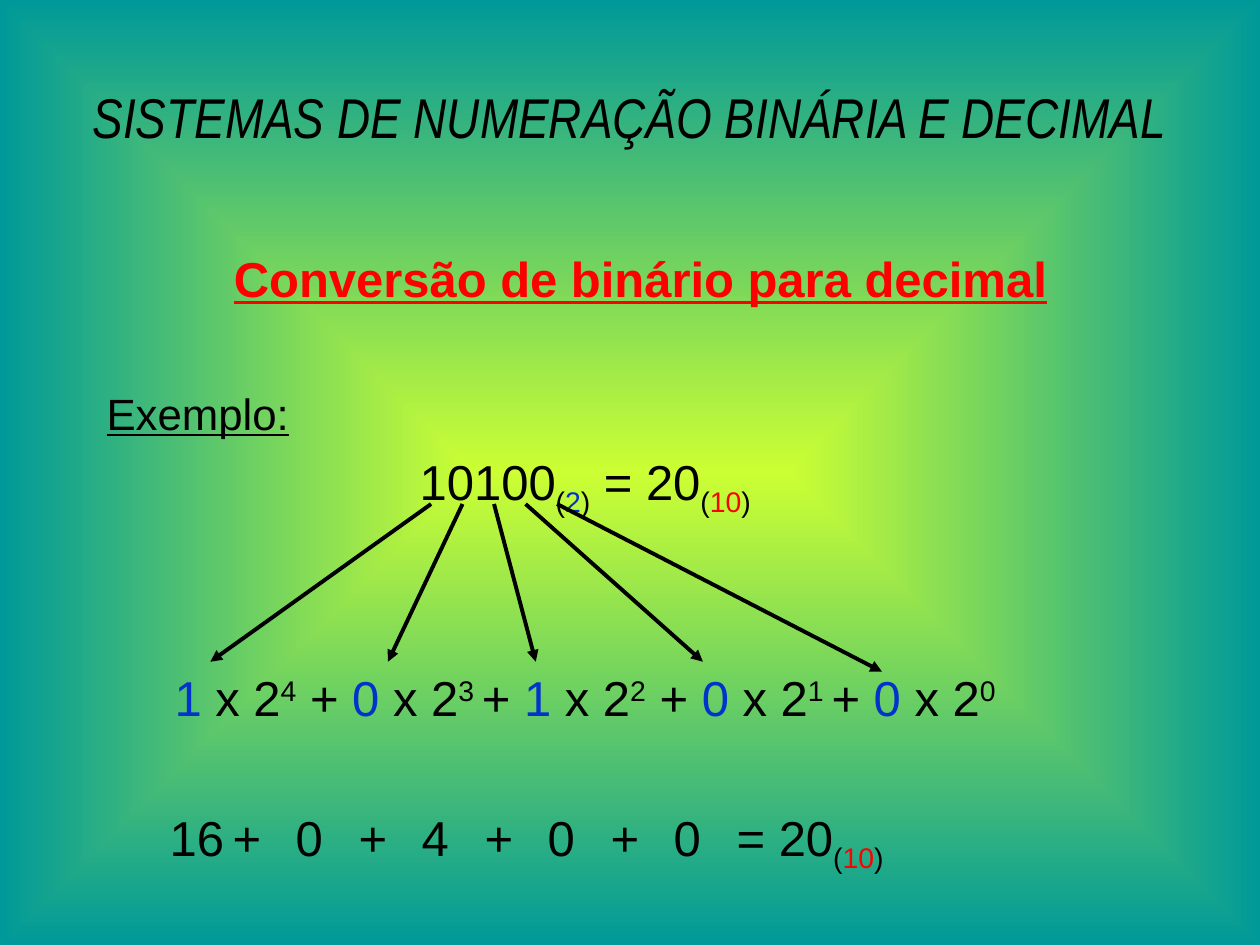
from pptx import Presentation
from pptx.dml.color import RGBColor
from pptx.enum.shapes import MSO_CONNECTOR
from pptx.enum.text import MSO_ANCHOR, MSO_AUTO_SIZE, PP_ALIGN
from pptx.oxml import parse_xml
from pptx.oxml.ns import nsdecls
from pptx.util import Cm, Pt

BLACK, RED, BLUE = "000000", "FF0000", "0033CC"
LIME, TEAL = "CCFF33", "009999"
SUBSCRIPT, SUPERSCRIPT = -25000, 30000
BINARY = "10100"
SUM_TABS = [1.92, 4.39, 6.07, 7.99, 9.67, 11.32, 13.27, 15.19, 16.86, 18.24]


def colour(value):
    return RGBColor.from_string(value)


class LessonSlide:
    """Holds the text style and the slide being built."""

    font_name = "Arial"
    size = 28

    def __init__(self, presentation):
        self.slide = presentation.slides.add_slide(presentation.slide_layouts[5])

    def background(self, centre, edge):
        """Fill the background with a gradient running from the centre to the edges."""
        fill = self.slide.background.fill
        fill.gradient()
        for stop, value in zip(fill.gradient_stops, (centre, edge)):
            stop.color.rgb = colour(value)
        gradient = self.slide.element.xpath(".//p:bgPr/a:gradFill")[0]
        for direction in gradient.xpath("a:lin"):
            gradient.remove(direction)
        gradient.append(parse_xml(
            f'<a:path {nsdecls("a")} path="rect"><a:fillToRect l="50000" t="50000" '
            'r="50000" b="50000"/></a:path>'))

    def title(self, text, left, top, width, height):
        shape = self.slide.shapes.title
        shape.left, shape.top, shape.width, shape.height = map(Cm, (left, top, width, height))
        frame = shape.text_frame
        frame.text = text
        frame.auto_size = MSO_AUTO_SIZE.NONE
        frame.vertical_anchor = MSO_ANCHOR.MIDDLE
        paragraph = frame.paragraphs[0]
        paragraph.alignment = PP_ALIGN.CENTER
        font = paragraph.runs[0].font
        font.name, font.size, font.italic = "Arial Narrow", Pt(32), True
        font.color.rgb = colour(BLACK)

    def text_box(self, left, top, width, height):
        frame = self.slide.shapes.add_textbox(*map(Cm, (left, top, width, height))).text_frame
        frame.word_wrap = True
        return frame

    def line(self, paragraph, segments, before=0, indent=0, tabs=(), size=None):
        """Write (text, colour, baseline) segments into one paragraph."""
        properties = paragraph._p.get_or_add_pPr()
        properties.set("marL", str(Cm(indent)))
        properties.set("indent", "0")
        paragraph.space_before = Pt(before)
        if tabs:
            stops = "".join(f'<a:tab pos="{Cm(tab)}" algn="l"/>' for tab in tabs)
            properties.append(parse_xml(f'<a:tabLst {nsdecls("a")}>{stops}</a:tabLst>'))
        for text, value, baseline in segments:
            run = paragraph.add_run()
            run.text = text
            run.font.name, run.font.size = self.font_name, Pt(size or self.size)
            run.font.color.rgb = colour(value)
            if baseline:
                run._r.get_or_add_rPr().set("baseline", str(baseline))
        return paragraph

    def arrow(self, start_x, start_y, end_x, end_y):
        connector = self.slide.shapes.add_connector(
            MSO_CONNECTOR.STRAIGHT, *map(Cm, (start_x, start_y, end_x, end_y)))
        connector.line.color.rgb = colour(BLACK)
        connector.line.width = Pt(2.25)
        connector.line._get_or_add_ln().append(
            parse_xml(f'<a:tailEnd {nsdecls("a")} type="triangle"/>'))
        connector._element.spPr.append(parse_xml(f'<a:effectLst {nsdecls("a")}/>'))


def base_mark(base, value):
    return [("(", BLACK, SUBSCRIPT), (base, value, SUBSCRIPT), (")", BLACK, SUBSCRIPT)]


def power_terms(digits):
    segments = []
    for power, digit in zip(reversed(range(len(digits))), digits):
        exponent, plus = (f"{power} ", "+ ") if power % 2 else (f"{power}", " + ")
        segments += [(digit, BLUE, 0), (" x 2", BLACK, 0), (exponent, BLACK, SUPERSCRIPT)]
        if power:
            segments.append((plus, BLACK, 0))
    return segments


def main():
    presentation = Presentation()
    presentation.slide_width, presentation.slide_height = Cm(25.4), Cm(19.05)
    lesson = LessonSlide(presentation)
    lesson.background(LIME, TEAL)
    lesson.title("SISTEMAS DE NUMERAÇÃO BINÁRIA E DECIMAL", 1.27, 0.76, 22.86, 3.18)

    frame = lesson.text_box(1.9, 4.88, 22.02, 13.34)
    heading = lesson.line(frame.paragraphs[0], [("Conversão de binário para decimal", RED, 0)])
    heading.alignment = PP_ALIGN.CENTER
    heading.runs[0].font.bold = heading.runs[0].font.underline = True

    example = lesson.line(frame.add_paragraph(), [("Exemplo:", BLACK, 0)], before=45.4, size=25)
    example.runs[0].font.underline = True

    result = base_mark("10", RED)
    lesson.line(frame.add_paragraph(),
                [(BINARY, BLACK, 0), *base_mark("2", BLUE), (" = 20", BLACK, 0), *result],
                before=7, indent=6.31)
    lesson.line(frame.add_paragraph(), power_terms(BINARY), before=85.4, indent=1.37)

    values = [int(digit) * 2 ** power
              for power, digit in zip(reversed(range(len(BINARY))), BINARY)]
    total = "\t" + "\t+\t".join(map(str, values)) + f"\t= {sum(values)}"
    lesson.line(frame.add_paragraph(), [(total, BLACK, 0), *result], before=46.2, tabs=SUM_TABS)

    arrow_ends = [(4.24, 13.34), (7.82, 13.34), (10.8, 13.34), (14.17, 13.34), (17.78, 13.54)]
    for index, (end_x, end_y) in enumerate(arrow_ends):
        lesson.arrow(8.69 + 0.635 * index, 10.16, end_x, end_y)

    presentation.save("out.pptx")


if __name__ == "__main__":
    main()
